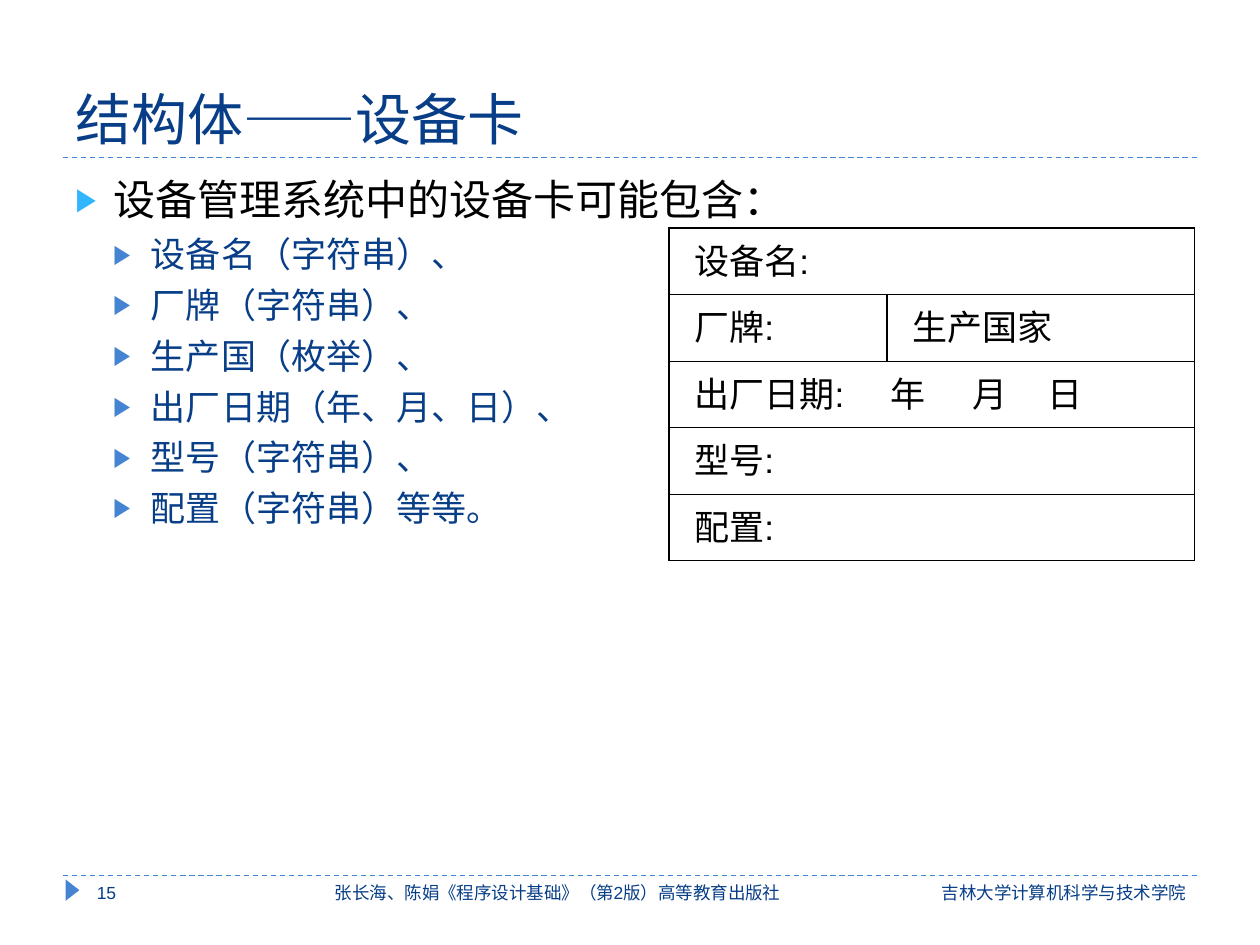
from lxml.etree import SubElement
from pptx import Presentation
from pptx.dml.color import RGBColor
from pptx.enum.dml import MSO_LINE
from pptx.enum.shapes import MSO_CONNECTOR, MSO_SHAPE
from pptx.enum.text import MSO_ANCHOR, PP_ALIGN
from pptx.oxml.ns import qn
from pptx.util import Inches, Pt

COLORS = {"navy": "073E87", "blue": "4584D3", "sky": "31B6FD", "black": "000000"}
FONT = "Arial"
LEFT, WIDTH = 0.5, 9
FOOTER_TOP = 6.95

TITLE = "结构体——设备卡"
LEAD = "设备管理系统中的设备卡可能包含："
FIELDS = [
    "设备名（字符串）、",
    "厂牌（字符串）、",
    "生产国（枚举）、",
    "出厂日期（年、月、日）、",
    "型号（字符串）、",
    "配置（字符串）等等。",
]
CARD_ROWS = [
    ["设备名:"],
    ["厂牌:", "生产国家"],
    ["出厂日期:\t年\t月\t日"],
    ["型号:"],
    ["配置:"],
]
DATE_TABS = [1.56, 2.21, 2.8]
FOOTERS = [
    ("15", 0.67, 1.1, PP_ALIGN.LEFT),
    ("张长海、陈娟《程序设计基础》（第2版）高等教育出版社", 1.85, 5.15, PP_ALIGN.CENTER),
    ("吉林大学计算机科学与技术学院", 7.05, 2.46, PP_ALIGN.RIGHT),
]


def color(name):
    return RGBColor.from_string(COLORS[name])


def style(para, size, color_name):
    para.font.name = FONT
    para.font.size = Pt(size)
    para.font.color.rgb = color(color_name)


def add_text_frame(page, left, top, width, height):
    box = page.shapes.add_textbox(Inches(left), Inches(top), Inches(width), Inches(height))
    box.text_frame.word_wrap = True
    return box.text_frame


def add_rule(page, left, top, width):
    """Draw a dashed horizontal line."""
    rule = page.shapes.add_connector(
        MSO_CONNECTOR.STRAIGHT, Inches(left), Inches(top), Inches(left + width), Inches(top))
    rule.line.color.rgb = color("blue")
    rule.line.width = Pt(0.75)
    rule.line.dash_style = MSO_LINE.DASH
    SubElement(rule._element.spPr, qn("a:effectLst"))


def add_bullet(para, indent, color_name):
    props = para._p.get_or_add_pPr()
    props.set("marL", str(Inches(indent)))
    props.set("indent", str(Inches(-0.3)))
    SubElement(SubElement(props, qn("a:buClr")), qn("a:srgbClr"), val=COLORS[color_name])
    SubElement(props, qn("a:buSzPct"), val="76000")
    SubElement(props, qn("a:buFont"), typeface=FONT)
    SubElement(props, qn("a:buChar"), char="▶")


def add_tabs(para, stops):
    tabs = SubElement(para._p.get_or_add_pPr(), qn("a:tabLst"))
    for stop in stops:
        SubElement(tabs, qn("a:tab"), pos=str(Inches(stop)), algn="l")


def add_title(page, left, top, width, height):
    frame = add_text_frame(page, left, top, width, height)
    frame.vertical_anchor = MSO_ANCHOR.BOTTOM
    para = frame.paragraphs[0]
    para.text = TITLE
    style(para, 32, "navy")
    add_rule(page, left, top + height, width)


def add_field_list(page, left, top, width, height):
    frame = add_text_frame(page, left, top, width, height)
    lead = frame.paragraphs[0]
    lead.text = LEAD
    add_bullet(lead, 0.3, "sky")
    style(lead, 24, "black")
    for field in FIELDS:
        para = frame.add_paragraph()
        para.text = field
        para.level = 1
        add_bullet(para, 0.6, "blue")
        para.space_before = Pt(5)
        style(para, 20, "navy")


def format_cell(cell):
    """Give the cell thin black borders, no fill and its margins."""
    props = cell._tc.get_or_add_tcPr()
    for side in ("lnL", "lnR", "lnT", "lnB"):
        border = SubElement(props, qn(f"a:{side}"), w=str(Pt(0.75)))
        SubElement(SubElement(border, qn("a:solidFill")), qn("a:srgbClr"), val=COLORS["black"])
    cell.fill.background()
    cell.vertical_anchor = MSO_ANCHOR.MIDDLE
    cell.margin_left = Inches(0.2)
    cell.margin_right = Inches(0.1)
    cell.margin_top = cell.margin_bottom = Inches(0.05)


def add_device_card(page, left, top, width, height):
    card = page.shapes.add_table(
        len(CARD_ROWS), 2, Inches(left), Inches(top), Inches(width), Inches(height)).table
    card.first_row = card.horz_banding = False
    card.columns[0].width = Inches(1.73)
    card.columns[1].width = Inches(width - 1.73)
    for index, texts in enumerate(CARD_ROWS):
        card.rows[index].height = Inches(height / len(CARD_ROWS))
        for column in range(2):
            format_cell(card.cell(index, column))
        if len(texts) == 1:
            card.cell(index, 0).merge(card.cell(index, 1))
        for column, text in enumerate(texts):
            para = card.cell(index, column).text_frame.paragraphs[0]
            para.text = text
            if "\t" in text:
                add_tabs(para, DATE_TABS)
            para.line_spacing = 0.85
            style(para, 20, "black")


def add_footer(page, left, top, width, height):
    add_rule(page, left, top, width)
    marker = page.shapes.add_shape(
        MSO_SHAPE.ISOSCELES_TRIANGLE,
        Inches(left - 0.01), Inches(top + 0.06), Inches(0.17), Inches(0.11))
    marker.rotation = 90
    marker.shadow.inherit = False
    marker.fill.solid()
    marker.fill.fore_color.rgb = color("blue")
    marker.line.fill.background()
    for text, text_left, text_width, alignment in FOOTERS:
        para = add_text_frame(page, text_left, top, text_width, height).paragraphs[0]
        para.text = text
        para.alignment = alignment
        style(para, 10, "navy")


def main():
    deck = Presentation()
    deck.slide_width, deck.slide_height = Inches(10), Inches(7.5)
    page = deck.slides.add_slide(deck.slide_layouts[6])
    add_title(page, LEFT, 0.17, WIDTH, 1.08)
    add_field_list(page, LEFT, 1.33, WIDTH, 3.28)
    add_device_card(page, 5.31, 1.81, 4.17, 2.64)
    add_footer(page, LEFT, FOOTER_TOP, WIDTH, 0.4)
    deck.save("out.pptx")


if __name__ == "__main__":
    main()
